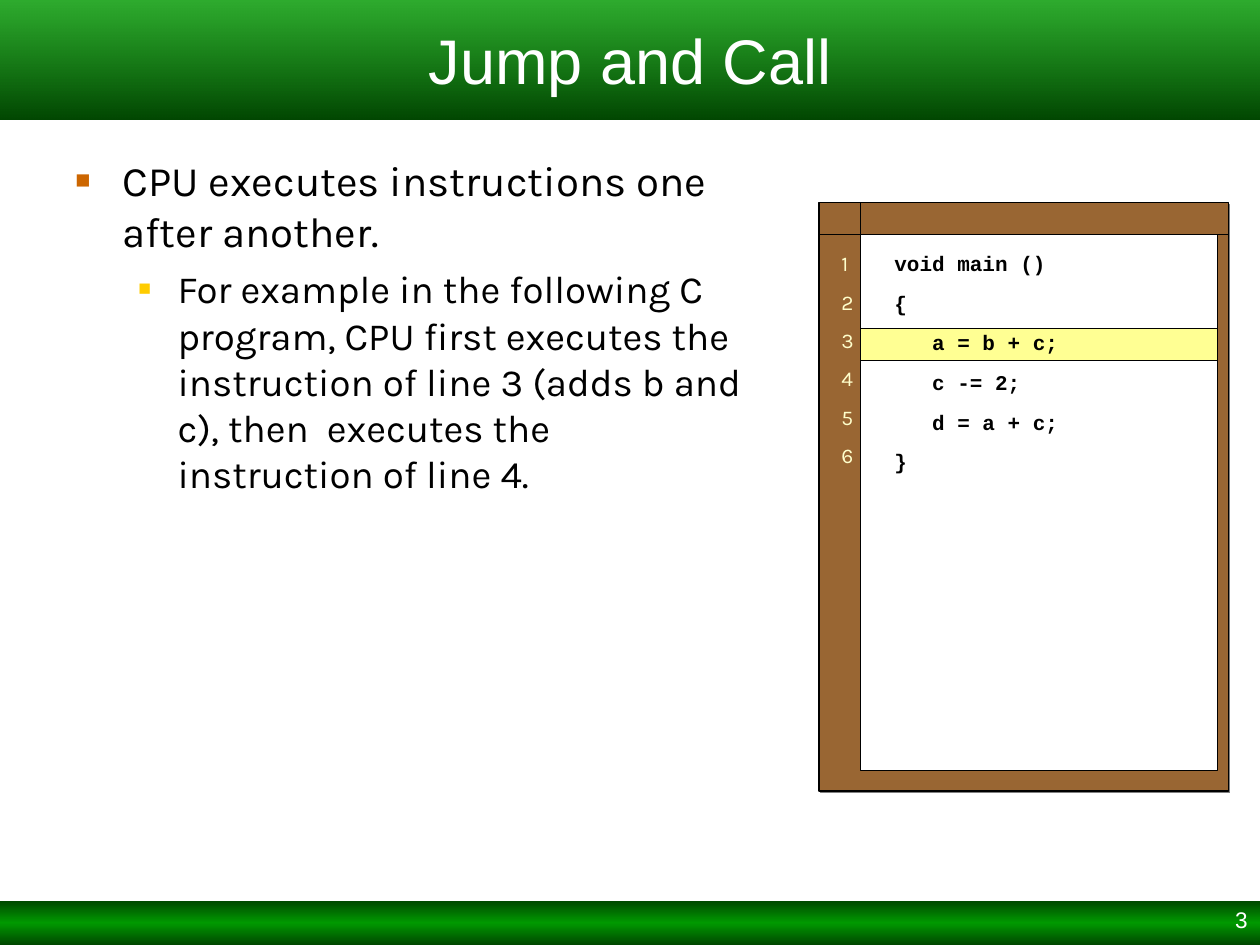
"""Build the slide "Jump and Call" with a bullet list and a code listing panel."""
from lxml.etree import SubElement
from pptx import Presentation
from pptx.dml.color import RGBColor
from pptx.enum.shapes import MSO_CONNECTOR, MSO_SHAPE
from pptx.enum.text import MSO_ANCHOR, PP_ALIGN
from pptx.oxml.ns import qn
from pptx.util import Cm, Pt

TITLE = "Jump and Call"
PAGE_NUMBER = "3"
BULLETS = [
    dict(text="CPU executes instructions one after another.",
         level=0, size=24, before=0, left=0.95, hanging=0.95, color="CC6600", percent=60),
    dict(text="For example in the following C program, CPU first executes the instruction "
              "of line 3 (adds b and c), then  executes the instruction of line 4.",
         level=1, size=22, before=5.5, left=2.06, hanging=0.79, color="FFCC00", percent=55),
]
CODE = ["void main ()", "{", "   a = b + c;", "   c -= 2;", "   d = a + c;", "}"]

WIDTH, HEIGHT = 25.4, 19.05
TITLE_HEIGHT, FOOTER_HEIGHT = 2.41, 0.89
TITLE_STOPS = [(0, "009900", 82), (100, "004700", 100)]
FOOTER_STOPS = [(0, "004700", 100), (50, "009900", 100), (100, "004700", 100)]
PANEL_LEFT, PANEL_TOP, PANEL_WIDTH, PANEL_HEIGHT = 16.51, 4.09, 8.25, 11.86
STRIP = 0.64
CODE_LEFT, CODE_TOP = 17.35, PANEL_TOP + STRIP
CODE_WIDTH, CODE_HEIGHT = 7.19, 10.8
MARK_TOP = 6.63
LISTING_TOP, LISTING_HEIGHT = 4.93, 4.62


def rgb(value):
    return RGBColor.from_string(value)


def add_child(parent, tag, **attributes):
    return SubElement(parent, qn(tag), {name: str(value) for name, value in attributes.items()})


def add_box(page, left, top, width, height, fill=None, line=None):
    box = page.shapes.add_shape(MSO_SHAPE.RECTANGLE, Cm(left), Cm(top), Cm(width), Cm(height))
    box.shadow.inherit = False
    if fill:
        box.fill.solid()
        box.fill.fore_color.rgb = rgb(fill)
    if line:
        box.line.color.rgb = rgb(line)
        box.line.width = Pt(0.75)
    else:
        box.line.fill.background()
    return box


def set_gradient(box, stops):
    box.fill.gradient()
    box.fill.gradient_angle = 270
    stop_list = box.element.spPr.find(qn("a:gradFill")).find(qn("a:gsLst"))
    for stop in list(stop_list):
        stop_list.remove(stop)
    for position, value, opacity in stops:
        stop = add_child(stop_list, "a:gs", pos=position * 1000)
        color = add_child(stop, "a:srgbClr", val=value)
        if opacity < 100:
            add_child(color, "a:alpha", val=opacity * 1000)


def add_shadow(box):
    effects = box.element.spPr.find(qn("a:effectLst"))
    shadow = add_child(effects, "a:outerShdw", dist=Pt(1.4), dir=45 * 60000,
                       algn="ctr", rotWithShape=0)
    add_child(shadow, "a:srgbClr", val="808080")


def add_line(page, start, end):
    line = page.shapes.add_connector(MSO_CONNECTOR.STRAIGHT, *[Cm(value) for value in start + end])
    line.line.color.rgb = rgb("000000")
    line.line.width = Pt(0.75)
    add_child(line.element.spPr, "a:effectLst")


def add_text_box(page, left, top, width, height, anchor=MSO_ANCHOR.TOP):
    box = page.shapes.add_textbox(Cm(left), Cm(top), Cm(width), Cm(height))
    box.text_frame.word_wrap = True
    box.text_frame.vertical_anchor = anchor
    return box


def add_bullet(para, left, hanging, color, percent):
    properties = para._p.get_or_add_pPr()
    properties.set("marL", str(Cm(left)))
    properties.set("indent", str(-Cm(hanging)))
    add_child(add_child(properties, "a:buClr"), "a:srgbClr", val=color)
    add_child(properties, "a:buSzPct", val=percent * 1000)
    add_child(properties, "a:buFont", typeface="Arial")
    add_child(properties, "a:buChar", char="■")


def write(box, text, font="Karla", size=12, color="000000", bold=False,
          align=PP_ALIGN.LEFT, before=0, spacing=None, level=0, bullet=None):
    frame = box.text_frame
    para = frame.add_paragraph() if frame.paragraphs[0].runs else frame.paragraphs[0]
    if bullet:
        add_bullet(para, **bullet)
    para.level = level
    para.alignment = align
    para.space_before = Pt(before)
    if spacing:
        para.line_spacing = spacing
    span = para.add_run()
    span.text = text
    span.font.name = font
    span.font.size = Pt(size)
    span.font.bold = bold
    span.font.color.rgb = rgb(color)


def add_bands(page):
    footer_top = HEIGHT - FOOTER_HEIGHT
    set_gradient(add_box(page, 0, footer_top, WIDTH, FOOTER_HEIGHT), FOOTER_STOPS)
    number = add_text_box(page, 19.48, 18.21, WIDTH - 19.48, 0.84)
    write(number, PAGE_NUMBER, font="Arial", size=12.9, color="FFFFFF",
          align=PP_ALIGN.RIGHT, spacing=0.9)
    title = add_box(page, 0, 0, WIDTH, TITLE_HEIGHT)
    set_gradient(title, TITLE_STOPS)
    title.text_frame.word_wrap = True
    title.text_frame.vertical_anchor = MSO_ANCHOR.MIDDLE
    write(title, TITLE, font="Arial", size=36, color="FFFFFF", align=PP_ALIGN.CENTER)


def add_bullets(page):
    body = add_text_box(page, 1.27, 3, 14.2, 14.25)
    for item in BULLETS:
        bullet = {name: item[name] for name in ("left", "hanging", "color", "percent")}
        write(body, item["text"], size=item["size"], before=item["before"],
              level=item["level"], bullet=bullet)


def add_listing(page):
    add_shadow(add_box(page, PANEL_LEFT, PANEL_TOP, PANEL_WIDTH, PANEL_HEIGHT, "996633", "000000"))
    numbers = add_text_box(page, 16.71, LISTING_TOP, STRIP, LISTING_HEIGHT)
    add_box(page, CODE_LEFT, CODE_TOP, CODE_WIDTH, CODE_HEIGHT, "FFFFFF", "000000")
    add_box(page, CODE_LEFT, MARK_TOP, CODE_WIDTH, STRIP, "FFFF93", "000000")
    code = add_text_box(page, 17.78, LISTING_TOP, 6.35, LISTING_HEIGHT)
    for index, text in enumerate(CODE):
        write(numbers, str(index + 1), color="FFFFCC", align=PP_ALIGN.RIGHT,
              before=7.5 if index else 0)
        write(code, text, font="Courier New", bold=True, before=8.25 if index else 0)
    add_line(page, (CODE_LEFT, CODE_TOP), (CODE_LEFT, PANEL_TOP))
    add_line(page, (PANEL_LEFT, CODE_TOP), (PANEL_LEFT + PANEL_WIDTH, CODE_TOP))


def main():
    deck = Presentation()
    deck.slide_width, deck.slide_height = Cm(WIDTH), Cm(HEIGHT)
    page = deck.slides.add_slide(deck.slide_layouts[6])
    add_bands(page)
    add_bullets(page)
    add_listing(page)
    deck.save("out.pptx")


if __name__ == "__main__":
    main()
